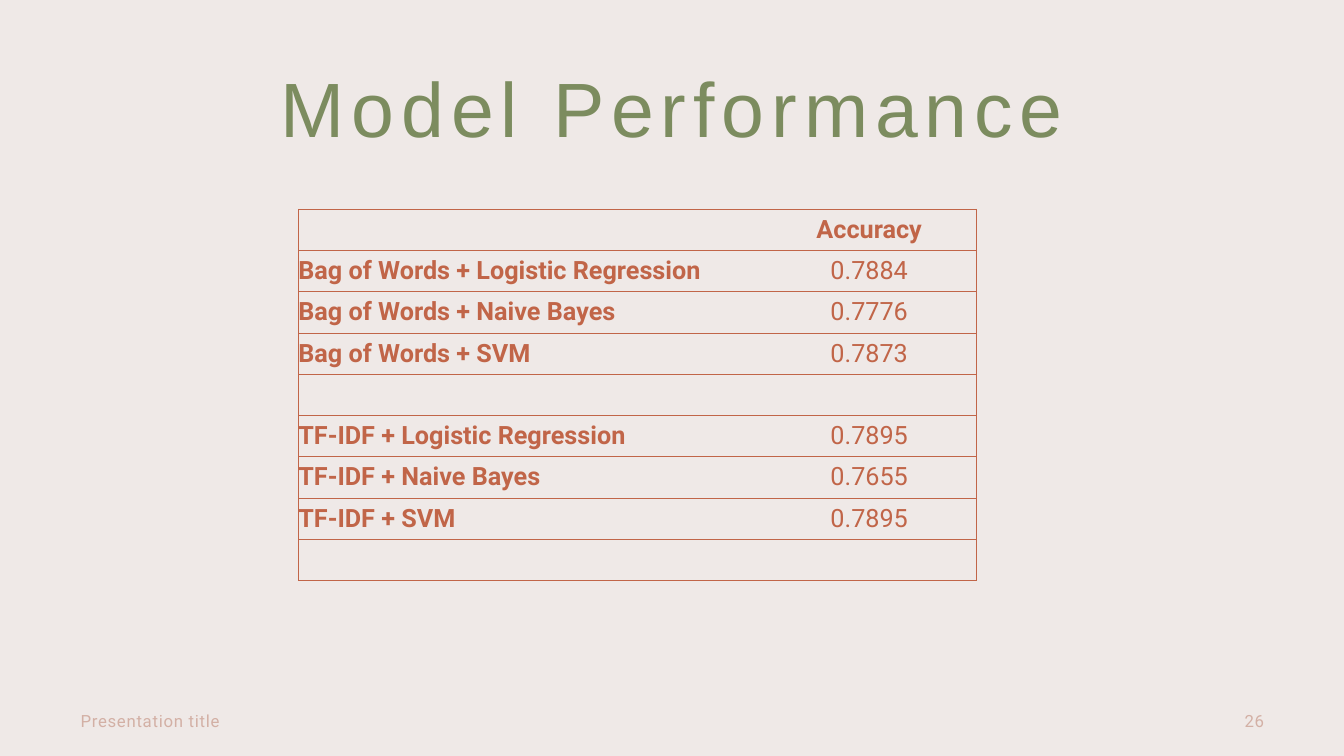
import pptx
import pptx.dml.color
import pptx.enum.text
import pptx.oxml
import pptx.oxml.ns
import pptx.util

Cm = pptx.util.Cm
Pt = pptx.util.Pt
Align = pptx.enum.text.PP_ALIGN
Anchor = pptx.enum.text.MSO_ANCHOR

COLORS = {
    "background": "EFE9E7",
    "heading": "7C8C5F",
    "results": "C16548",
    "footer": "D3B0A5",
}

RESULTS = [
    ("", "Accuracy"),
    ("Bag of Words + Logistic Regression", "0.7884"),
    ("Bag of Words + Naive Bayes", "0.7776"),
    ("Bag of Words + SVM", "0.7873"),
    ("", ""),
    ("TF-IDF + Logistic Regression", "0.7895"),
    ("TF-IDF + Naive Bayes", "0.7655"),
    ("TF-IDF + SVM", "0.7895"),
    ("", ""),
]


def rgb(name):
    """Return the named colour."""
    return pptx.dml.color.RGBColor.from_string(COLORS[name])


def style_font(font, family, size, color, bold=False):
    """Apply family, size, colour and weight to a font."""
    font.name = family
    font.size = Pt(size)
    font.bold = bold
    font.color.rgb = rgb(color)


def write_line(frame, text, family, size, color, align, spacing):
    """Fill a text frame with one aligned, letter-spaced line."""
    frame.word_wrap = True
    frame.text = text
    line = frame.paragraphs[0]
    line.alignment = align
    run = line.runs[0]
    style_font(run.font, family, size, color)
    run.font._element.set("spc", str(int(spacing * 100)))


def add_title(slide, text):
    """Place and format the slide title."""
    title = slide.shapes.title
    title.left, title.top, title.width, title.height = Cm(1.78), Cm(1.78), Cm(30.33), Cm(4.32)
    frame = title.text_frame
    frame.margin_left = frame.margin_right = frame.margin_top = frame.margin_bottom = 0
    frame.vertical_anchor = Anchor.TOP
    frame.auto_size = pptx.enum.text.MSO_AUTO_SIZE.NONE
    write_line(frame, text, "Arial", 55, "heading", Align.CENTER, 5)
    frame.paragraphs[0].line_spacing = 0.9


def add_footer(slide, text, left, width, align):
    """Add one small footer text."""
    frame = slide.shapes.add_textbox(left, Cm(17.65), width, Cm(1.02)).text_frame
    frame.vertical_anchor = Anchor.MIDDLE
    write_line(frame, text, "Roboto", 12, "footer", align, 0.5)


def set_borders(cell, visible):
    """Draw the visible sides of a cell and hide the others."""
    properties = cell._tc.get_or_add_tcPr()
    namespace = pptx.oxml.ns.nsdecls("a")
    solid = f'<a:solidFill><a:srgbClr val="{COLORS["results"]}"/></a:solidFill>'
    for side in "LRTB":
        fill = solid if side in visible else "<a:noFill/>"
        properties.append(pptx.oxml.parse_xml(
            f'<a:ln{side} {namespace} w="{Pt(0.5)}">{fill}</a:ln{side}>'))


def fill_cell(cell, text, align, bold, visible):
    """Write and format one table cell."""
    set_borders(cell, visible)
    cell.fill.background()
    cell.margin_left = cell.margin_right = cell.margin_top = cell.margin_bottom = 0
    cell.vertical_anchor = Anchor.MIDDLE
    cell.text = text
    entry = cell.text_frame.paragraphs[0]
    entry.alignment = align
    style_font(entry.font, "Roboto", 18, "results", bold)
    for run in entry.runs:
        style_font(run.font, "Roboto", 18, "results", bold)


def add_results(slide):
    """Add the accuracy table."""
    row_height = Cm(1.04)
    model_width, accuracy_width = Cm(11.68), Cm(5.41)
    table = slide.shapes.add_table(
        len(RESULTS), 2, Cm(7.52), Cm(5.27),
        model_width + accuracy_width, row_height * len(RESULTS)).table
    table.first_row = table.horz_banding = False
    table.columns[0].width = model_width
    table.columns[1].width = accuracy_width
    for index, (model, accuracy) in enumerate(RESULTS):
        table.rows[index].height = row_height
        fill_cell(table.cell(index, 0), model, Align.LEFT, True, "LTB")
        fill_cell(table.cell(index, 1), accuracy, Align.CENTER, index == 0, "RTB")


def main():
    """Build and save the slide."""
    deck = pptx.Presentation()
    deck.slide_width, deck.slide_height = Cm(33.87), Cm(19.05)
    slide = deck.slides.add_slide(deck.slide_layouts[5])
    slide.background.fill.solid()
    slide.background.fill.fore_color.rgb = rgb("background")
    add_title(slide, "Model Performance")
    add_results(slide)
    add_footer(slide, "Presentation title", Cm(1.78), Cm(11.43), Align.LEFT)
    add_footer(slide, "26", Cm(24.49), Cm(7.62), Align.RIGHT)
    deck.save("out.pptx")


if __name__ == "__main__":
    main()
